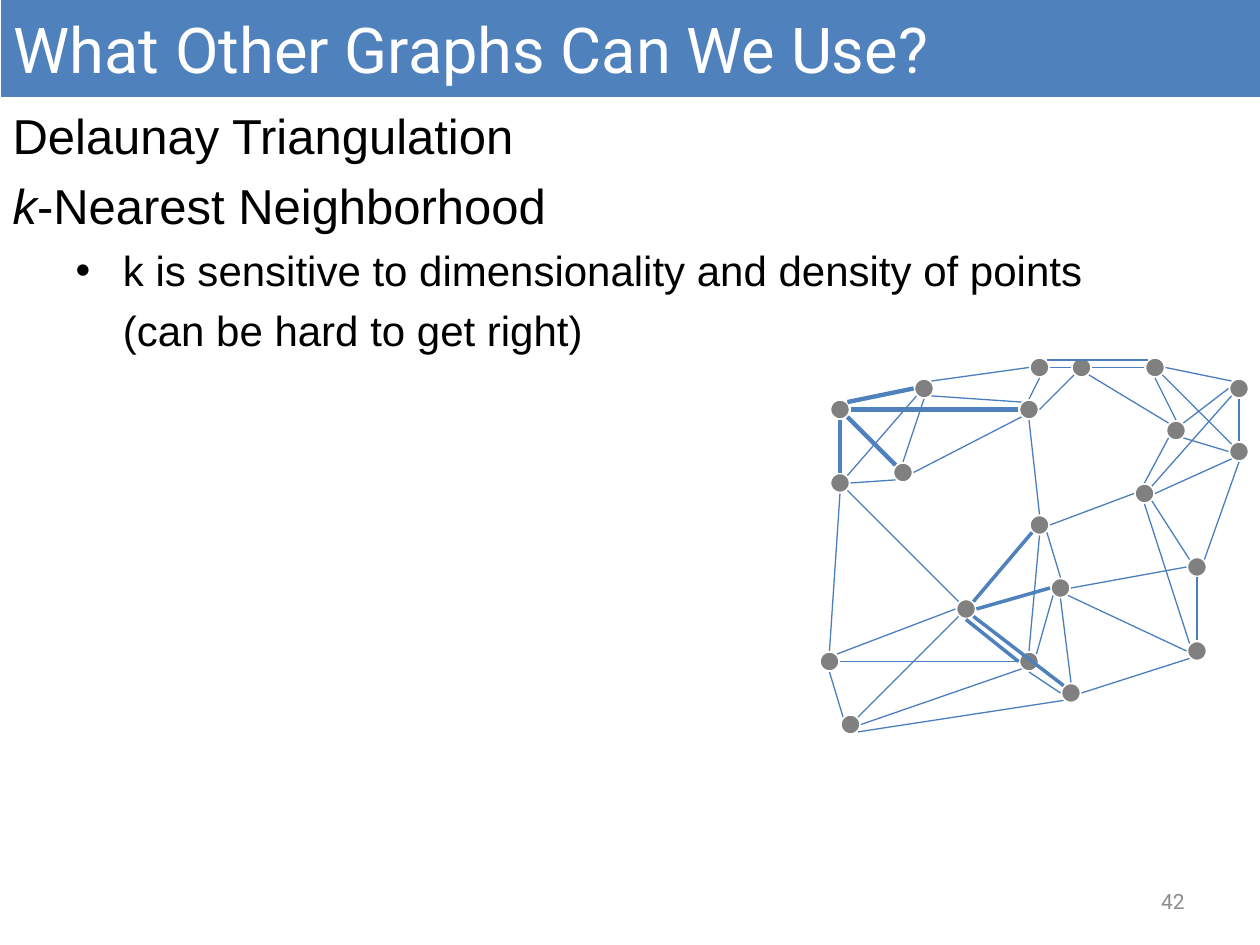
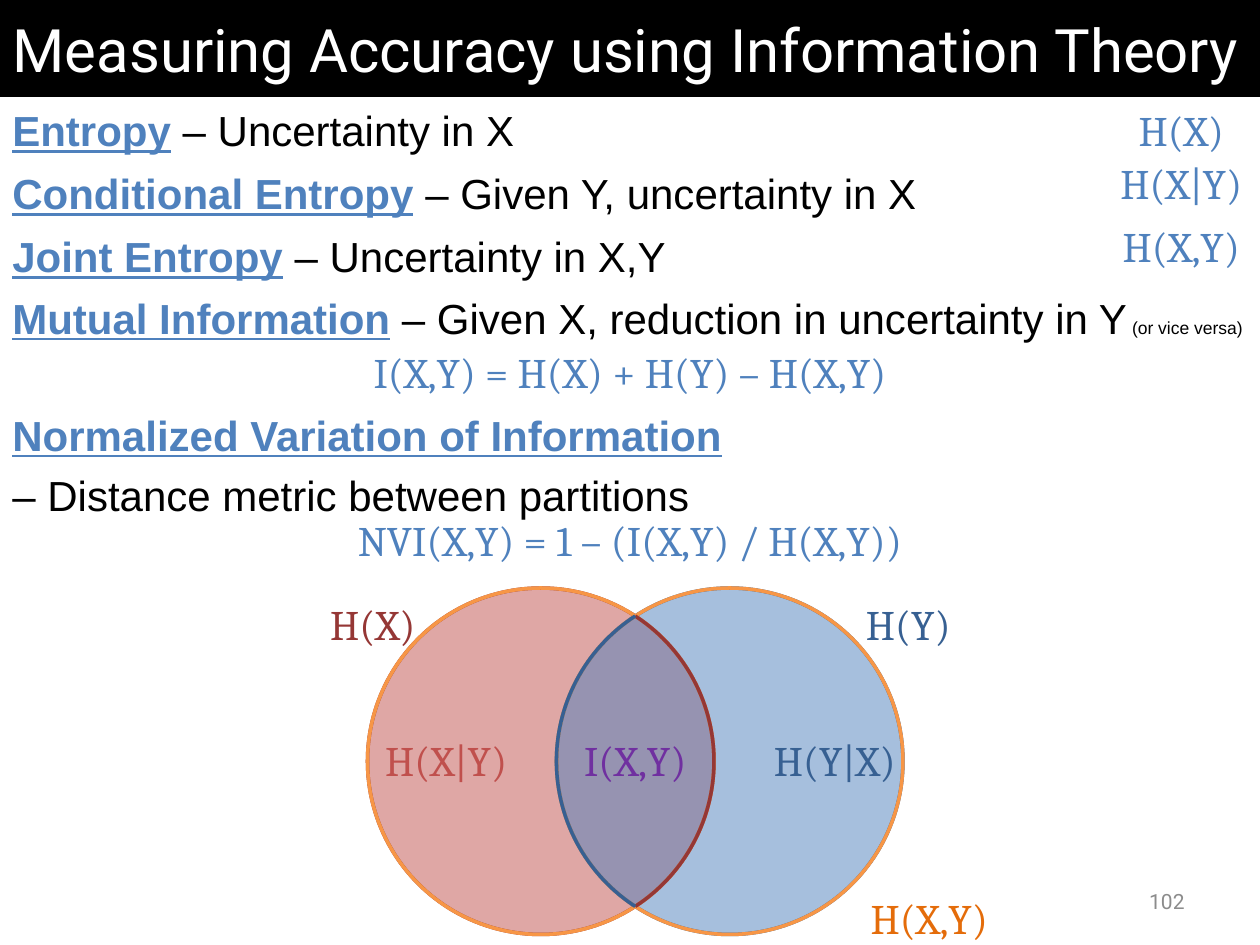
from math import acos, degrees, sqrt

from lxml.etree import SubElement
from pptx import Presentation
from pptx.dml.color import RGBColor
from pptx.enum.shapes import MSO_CONNECTOR, MSO_SHAPE as SHAPE
from pptx.enum.text import MSO_ANCHOR as ANCHOR, MSO_AUTO_SIZE as AUTO, PP_ALIGN as ALIGN
from pptx.oxml.ns import qn
from pptx.util import Pt

BLACK = RGBColor(0, 0, 0)
WHITE = RGBColor(255, 255, 255)
GRAY = RGBColor(0x80, 0x80, 0x80)
NUMBER_GRAY = RGBColor(0x8C, 0x8C, 0x8C)
BLUE = RGBColor(0x4F, 0x81, 0xBD)
EDGE_BLUE = RGBColor(0x4B, 0x7E, 0xBC)
DARK_BLUE = RGBColor(0x37, 0x60, 0x92)
RED = RGBColor(0xC0, 0x50, 0x4D)
DARK_RED = RGBColor(0x95, 0x37, 0x35)
ORANGE = RGBColor(0xF7, 0x96, 0x46)
DARK_ORANGE = RGBColor(0xE4, 0x6C, 0x0A)
PURPLE = RGBColor(0x70, 0x30, 0xA0)


def write(paragraph, text, size=24, color=BLACK, font="Arial", align=ALIGN.LEFT,
          bold=False, italic=False, underline=False):
    paragraph.alignment = align
    run = paragraph.add_run()
    run.text = text
    run.font.name = font
    run.font.size = Pt(size)
    run.font.color.rgb = color
    run.font.bold = bold
    run.font.italic = italic
    run.font.underline = underline


def add_frame(slide, left, top, width, height=36):
    box = slide.shapes.add_textbox(Pt(left), Pt(top), Pt(width), Pt(height))
    frame = box.text_frame
    frame.word_wrap = True
    frame.margin_top, frame.margin_bottom = Pt(6), Pt(2)
    return frame


deck = Presentation()
deck.slide_width, deck.slide_height = Pt(720), Pt(540)

slides = []
for layout, title, size, band, left, number in (
    (1, "What Other Graphs Can We Use?", 36.1, BLUE, 0.72, "42"),
    (5, "Measuring Accuracy using Information Theory", 34.2, BLACK, 0, "102"),
):
    slide = deck.slides.add_slide(deck.slide_layouts[layout])
    heading = slide.shapes.title
    heading.left, heading.top, heading.width, heading.height = Pt(left), Pt(0), Pt(720), Pt(55.4)
    heading.fill.solid()
    heading.fill.fore_color.rgb = band
    heading.text_frame.auto_size = AUTO.NONE
    heading.text_frame.vertical_anchor = ANCHOR.MIDDLE
    write(heading.text_frame.paragraphs[0], title, size=size, color=WHITE, font="Roboto")
    footer = add_frame(slide, 516, 500.4, 168, 28.8)
    footer.margin_top = footer.margin_bottom = Pt(3.6)
    footer.vertical_anchor = ANCHOR.MIDDLE
    write(footer.paragraphs[0], number, size=12, color=NUMBER_GRAY, font="Roboto", align=ALIGN.RIGHT)
    slides.append(slide)
graph_slide, theory_slide = slides

graph_list = graph_slide.placeholders[1]
graph_list.left, graph_list.top, graph_list.width, graph_list.height = Pt(0), Pt(54), Pt(720), Pt(152)
frame = graph_list.text_frame
frame.auto_size = AUTO.NONE
frame.margin_top = Pt(6)
for index, (runs, size, margin, indent, bullet) in enumerate((
    ([("Delaunay Triangulation", False)], 28, 27, -27, None),
    ([("k", True), ("-Nearest Neighborhood", False)], 28, 27, -27, None),
    ([("k is sensitive to dimensionality and density of points", False)], 24, 63, -27, "•"),
    ([("(can be hard to get right)", False)], 24, 63, 0, None),
)):
    paragraph = frame.add_paragraph() if index else frame.paragraphs[0]
    paragraph.level = 1 if size == 24 else 0
    paragraph.space_before = Pt(size * 0.24 if index else 0)
    props = paragraph._p.get_or_add_pPr()
    props.set("marL", str(Pt(margin)))
    props.set("indent", str(Pt(indent)))
    if bullet:
        SubElement(props, qn("a:buFont")).set("typeface", "Arial")
        SubElement(props, qn("a:buChar")).set("char", bullet)
    else:
        SubElement(props, qn("a:buNone"))
    for text, italic in runs:
        write(paragraph, text, size=size, italic=italic)

UNIT = 6
nodes = {
    "A": (114, 54), "B": (101, 56), "C": (92, 58), "D": (102, 66), "E": (114, 62),
    "F": (80, 39), "G": (88, 37), "H": (99, 35), "I": (103, 35), "J": (118, 37),
    "K": (112, 41), "L": (86, 45), "M": (99, 50), "N": (109, 47), "O": (98, 39),
    "P": (110, 35), "Q": (98, 63), "R": (80, 46), "S": (79, 63), "T": (81, 69),
    "U": (118, 43),
}
for x, y in nodes.values():
    node = graph_slide.shapes.add_shape(
        SHAPE.OVAL, Pt((x - 1) * UNIT), Pt((y - 1) * UNIT), Pt(2 * UNIT), Pt(2 * UNIT))
    node.shadow.inherit = False
    node.fill.solid()
    node.fill.fore_color.rgb = GRAY
    node.line.color.rgb = WHITE
    node.line.width = Pt(2)

DIAGONAL = 1 / sqrt(2)
rim = {
    "n": (0, -1), "e": (1, 0), "s": (0, 1), "w": (-1, 0),
    "ne": (DIAGONAL, -DIAGONAL), "se": (DIAGONAL, DIAGONAL),
    "sw": (-DIAGONAL, DIAGONAL), "nw": (-DIAGONAL, -DIAGONAL),
}
corner_edges = "Fs-Rn Fne-Gw Fse-Lnw Ow-Fe"
center_edges = "Cse-Dnw Bw-Ce Msw-Cne Cs-Qw"
other_edges = (
    "Lsw-Re Rs-Sn Usw-Ne Qw-Se Gs-Ln Gse-Onw Rse-Cnw Pw-Ie Hs-On Os-Mn Kse-Uw "
    "Csw-Tne Jsw-Nne Ksw-Nn Ps-Kn Me-Nw Pe-Jnw Esw-De Bse-Ew Be-Aw Bs-Dn Ns-Enw "
    "Us-Ane Isw-Oe Hne-Pnw Mse-Bn Nse-Anw Ise-Knw As-En Gsw-Rne Ss-Tnw Cw-Sne "
    "Qsw-Te Dsw-Tse Gne-Hw Osw-Le Iw-He Qs-Dw Qne-Bsw Qn-Ms Jw-Kne Js-Un Unw-Pse"
)
for edges, color, weight in (
    (f"{corner_edges} {center_edges} {other_edges}", EDGE_BLUE, 0.75),
    (corner_edges, BLUE, 2.5),
    (center_edges, BLUE, 2),
):
    for edge in edges.split():
        ends = []
        for end in edge.split("-"):
            ends += [Pt((c + d) * UNIT) for c, d in zip(nodes[end[0]], rim[end[1:]])]
        link = graph_slide.shapes.add_connector(MSO_CONNECTOR.STRAIGHT, *ends)
        link.line.color.rgb = color
        link.line.width = Pt(weight)
        SubElement(link._element.spPr, qn("a:effectLst"))

for top, term, meaning, aside in (
    (54, "Entropy", " – Uncertainty in X", ""),
    (90, "Conditional Entropy", " – Given Y, uncertainty in X", ""),
    (126, "Joint Entropy", " – Uncertainty in X,Y", ""),
    (161.3, "Mutual Information", " – Given X, reduction in uncertainty in Y", " (or vice versa)"),
    (228, "Normalized Variation of Information", "", ""),
):
    frame = add_frame(theory_slide, 0, top, 720, 36 if meaning else 71.3)
    write(frame.paragraphs[0], term, color=BLUE, bold=True, underline=True)
    if meaning:
        write(frame.paragraphs[0], meaning)
    else:
        metric = frame.add_paragraph()
        metric.space_before = Pt(5.76)
        write(metric, "– Distance metric between partitions")
    if aside:
        write(frame.paragraphs[0], aside, size=10)

DIAMETER, VENN_TOP, X_LEFT, Y_LEFT = 198, 336, 210, 318
half_angle = degrees(acos((Y_LEFT - X_LEFT) / DIAMETER))
for kind, left, fill, outline, sweep in (
    (SHAPE.OVAL, X_LEFT, RED, DARK_RED, ()),
    (SHAPE.OVAL, Y_LEFT, BLUE, DARK_BLUE, ()),
    (SHAPE.OVAL, X_LEFT, None, ORANGE, ()),
    (SHAPE.OVAL, Y_LEFT, None, ORANGE, ()),
    (SHAPE.ARC, X_LEFT, None, DARK_RED, (360 - half_angle, half_angle)),
    (SHAPE.ARC, Y_LEFT, None, DARK_BLUE, (180 - half_angle, 180 + half_angle)),
):
    circle = theory_slide.shapes.add_shape(kind, Pt(left), Pt(VENN_TOP), Pt(DIAMETER), Pt(DIAMETER))
    circle.shadow.inherit = False
    circle.line.color.rgb = outline
    circle.line.width = Pt(2)
    for index, angle in enumerate(sweep):
        circle.adjustments[index] = angle * 0.6
    if fill:
        circle.fill.solid()
        circle.fill.fore_color.rgb = fill
        tint = circle._element.spPr.find(qn("a:solidFill"))[0]
        SubElement(tint, qn("a:alpha")).set("val", "50000")
    else:
        circle.fill.background()

for formula, left, top, width, color in (
    ("H(X)", 630, 54, 90, BLUE),
    ("H(X|Y)", 630, 84, 90, BLUE),
    ("H(X,Y)", 630, 120, 90, BLUE),
    ("I(X,Y) = H(X) + H(Y) – H(X,Y)", 0, 192, 720, BLUE),
    ("NVI(X,Y) = 1 – (I(X,Y) / H(X,Y))", 0, 288, 720, BLUE),
    ("H(X)", 168, 336, 90, DARK_RED),
    ("H(Y)", 474, 336, 90, DARK_BLUE),
    ("H(X|Y)", 210, 414, 90, RED),
    ("I(X,Y)", 318, 414, 90, PURPLE),
    ("H(Y|X)", 432, 414, 90, DARK_BLUE),
    ("H(X,Y)", 486, 504, 90, DARK_ORANGE),
):
    frame = add_frame(theory_slide, left, top, width)
    write(frame.paragraphs[0], formula, color=color, font="Cambria", align=ALIGN.CENTER)

deck.save("out.pptx")
